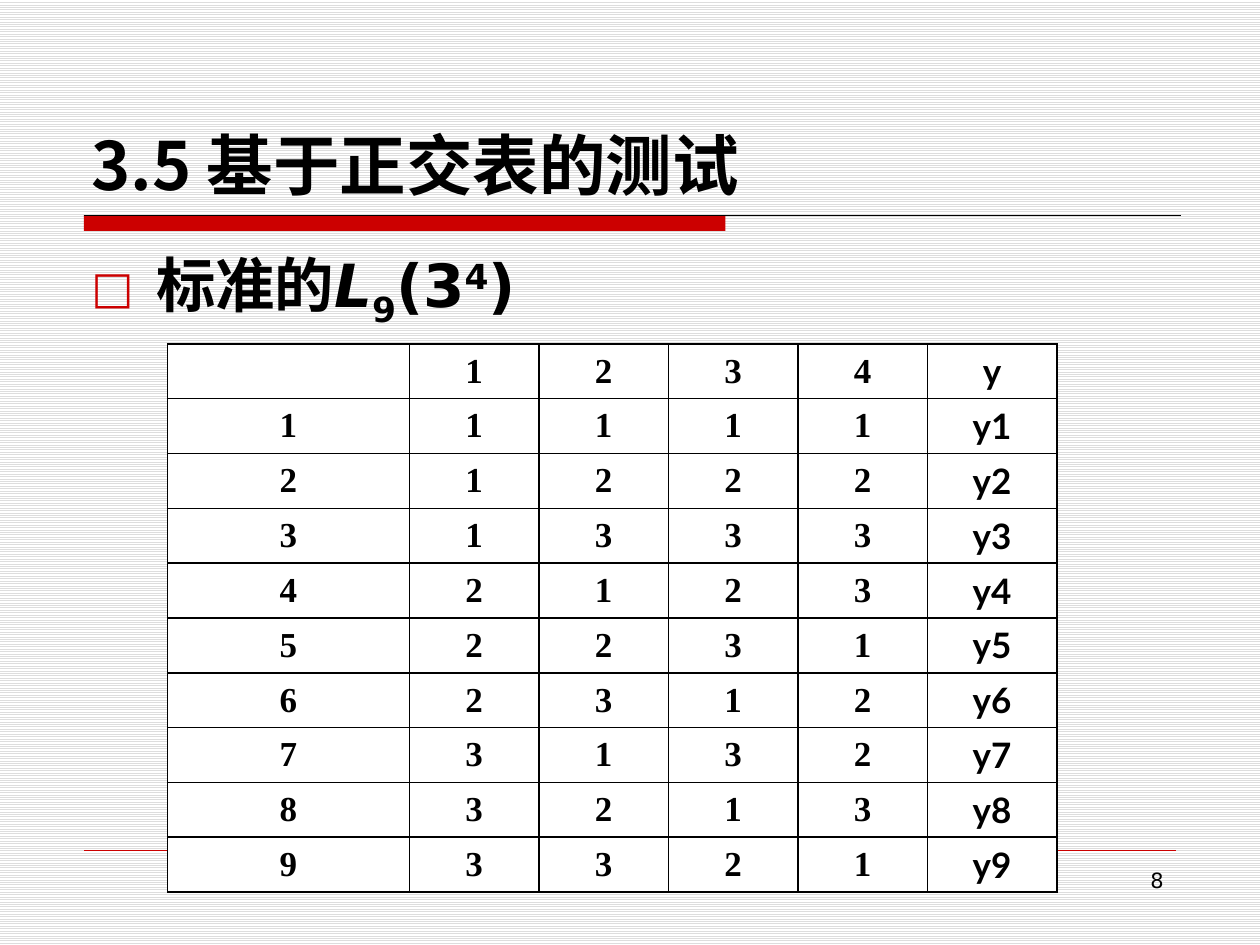
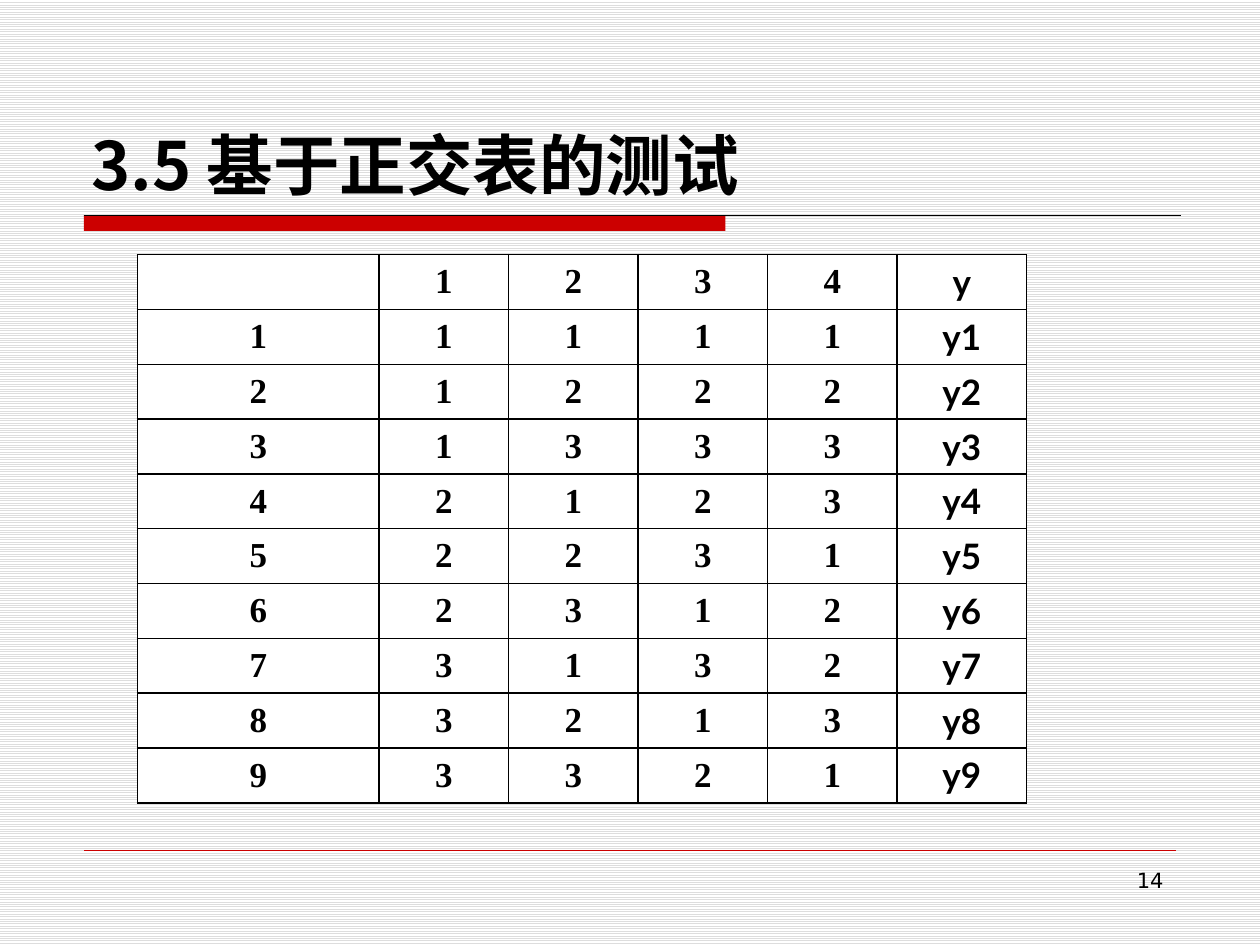
import pptx
import pptx.dml.color
import pptx.enum.dml
import pptx.enum.shapes
import pptx.enum.text
import pptx.oxml
import pptx.oxml.ns
import pptx.util

Pt = pptx.util.Pt
Align = pptx.enum.text.PP_ALIGN
Anchor = pptx.enum.text.MSO_ANCHOR

BLACK, WHITE, RED, GREY = "000000", "FFFFFF", "CC0000", "DDDDDD"
SANS, HAN, SERIF, LATO = "DejaVu Sans", "Noto Sans CJK SC", "Times New Roman", "Lato"
TITLE = "3.5 基于正交表的测试"
LEVELS = "1111 1222 1333 2123 2231 2312 3132 3213 3321".split()
ROWS = [["", *"1234", "y"]] + [
    [str(num), *row, f"y{num}"] for num, row in enumerate(LEVELS, 1)
]
WIDTHS = [138.2] + [74] * 5
HEIGHT = 31.35


def color(code):
    return pptx.dml.color.RGBColor.from_string(code)


def node(xml):
    space = pptx.oxml.ns.nsdecls("a")
    head, mark, tail = xml.partition(" ")
    return pptx.oxml.parse_xml(f"{head} {space}{mark}{tail}")


class Deck:
    """Hold the shared style and the current slide."""

    def __init__(self):
        self.show = pptx.Presentation()
        self.show.slide_width, self.show.slide_height = Pt(720), Pt(540)
        fill = self.show.slide_master.background.fill
        fill.patterned()
        fill.pattern = pptx.enum.dml.MSO_PATTERN.LIGHT_HORIZONTAL
        fill.fore_color.rgb = color(GREY)
        fill.back_color.rgb = color(WHITE)

    def page(self, layout, number):
        self.slide = self.show.slides.add_slide(self.show.slide_layouts[layout])
        self.title()
        self.bar(48, 123, 366.5, 9)
        self.line(48, 675, 123, BLACK, 0.75)
        self.line(48, 672, 486, RED, 0.25)
        self.number(number)

    def style(self, run, size, font, bold=True):
        run.font.size, run.font.name, run.font.bold = Pt(size), font, bold
        run.font.color.rgb = color(BLACK)
        run._r.get_or_add_rPr().append(node(f'<a:ea typeface="{HAN}"/>'))

    def place(self, shape, left, top, width, height):
        shape.left, shape.top = Pt(left), Pt(top)
        shape.width, shape.height = Pt(width), Pt(height)
        shape.text_frame.word_wrap = True
        shape.text_frame.auto_size = pptx.enum.text.MSO_AUTO_SIZE.NONE

    def title(self):
        shape = self.slide.shapes.title
        self.place(shape, 45, 24, 630, 96)
        frame = shape.text_frame
        frame.text = TITLE
        frame.vertical_anchor = Anchor.BOTTOM
        frame.paragraphs[0].alignment = Align.LEFT
        self.style(frame.paragraphs[0].runs[0], 38, HAN)

    def bar(self, left, top, width, height):
        kind = pptx.enum.shapes.MSO_SHAPE.RECTANGLE
        shape = self.slide.shapes.add_shape(
            kind, Pt(left), Pt(top), Pt(width), Pt(height)
        )
        shape.shadow.inherit = False
        shape.fill.solid()
        shape.fill.fore_color.rgb = color(RED)
        shape.line.fill.background()

    def line(self, left, right, top, code, width):
        kind = pptx.enum.shapes.MSO_CONNECTOR.STRAIGHT
        line = self.slide.shapes.add_connector(
            kind, Pt(left), Pt(top), Pt(right), Pt(top)
        )
        line.line.color.rgb = color(code)
        line.line.width = Pt(width)
        line._element.spPr.append(node("<a:effectLst />"))

    def number(self, value):
        box = self.slide.shapes.add_textbox(Pt(516), Pt(492), Pt(156), Pt(37.5))
        box.text_frame.word_wrap = True
        box.text_frame.text = str(value)
        para = box.text_frame.paragraphs[0]
        para.alignment = Align.RIGHT
        self.style(para.runs[0], 12, SANS, False)

    def bullet(self, parts):
        shape = self.slide.placeholders[1]
        self.place(shape, 45, 138, 630, 336)
        para = shape.text_frame.paragraphs[0]
        para.space_before = Pt(0)
        props = para._p.get_or_add_pPr()
        props.set("marL", str(Pt(37)))
        props.set("indent", str(Pt(-37)))
        for xml in (
            f'<a:buClr ><a:srgbClr val="{RED}"/></a:buClr>',
            '<a:buSzPct val="75000"/>',
            f'<a:buFont typeface="{SANS}"/>',
            '<a:buChar char="□"/>',
        ):
            props.append(node(xml))
        for text, shift, slant in parts:
            run = para.add_run()
            run.text = text
            self.style(run, 34, SANS)
            run.font.italic = slant
            if shift:
                run._r.get_or_add_rPr().set("baseline", str(shift * 1000))

    def table(self, left, top):
        table = self.slide.shapes.add_table(
            len(ROWS), len(WIDTHS), Pt(left), Pt(top),
            Pt(sum(WIDTHS)), Pt(HEIGHT * len(ROWS)),
        ).table
        table.first_row = table.horz_banding = False
        for col, width in zip(table.columns, WIDTHS):
            col.width = Pt(width)
        for line, row in zip(table.rows, ROWS):
            line.height = Pt(HEIGHT)
            for cell, text in zip(line.cells, row):
                self.cell(cell, text)

    def cell(self, cell, text):
        props = cell._tc.get_or_add_tcPr()
        for side in "LRTB":
            props.append(node(
                f'<a:ln{side} w="{Pt(1)}"><a:solidFill><a:srgbClr val="{BLACK}"/>'
                f"</a:solidFill></a:ln{side}>"
            ))
        cell.fill.solid()
        cell.fill.fore_color.rgb = color(WHITE)
        cell.vertical_anchor = Anchor.MIDDLE
        cell.text = text
        para = cell.text_frame.paragraphs[0]
        para.alignment = Align.CENTER
        for run in para.runs:
            self.style(run, 20, LATO if text.startswith("y") else SERIF)


def main():
    deck = Deck()
    deck.page(1, 8)
    deck.bullet([
        ("标准的", 0, False), ("L", 0, True), ("9", -25, False),
        ("(3", 0, False), ("4", 30, False), (")", 0, False),
    ])
    deck.table(95.75, 196.5)
    deck.page(5, 14)
    deck.table(78.5, 145.5)
    deck.show.save("out.pptx")


if __name__ == "__main__":
    main()
